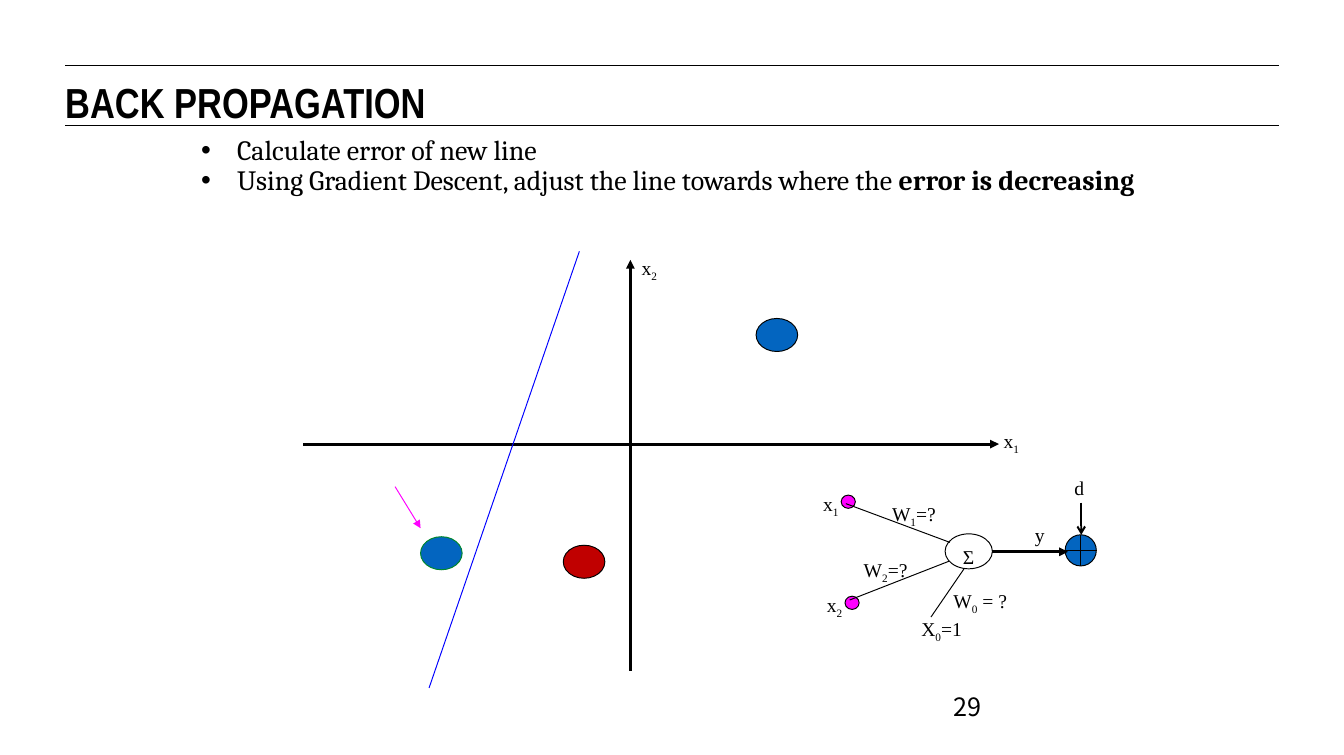
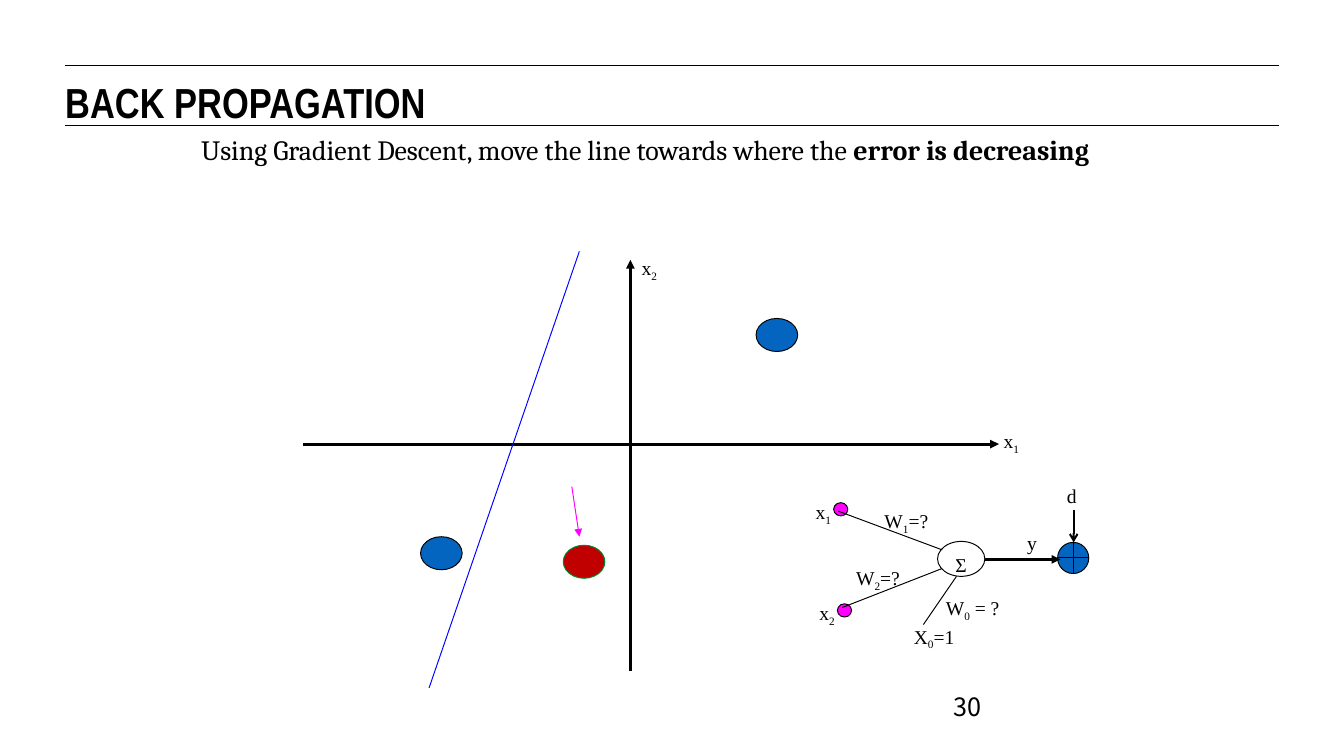
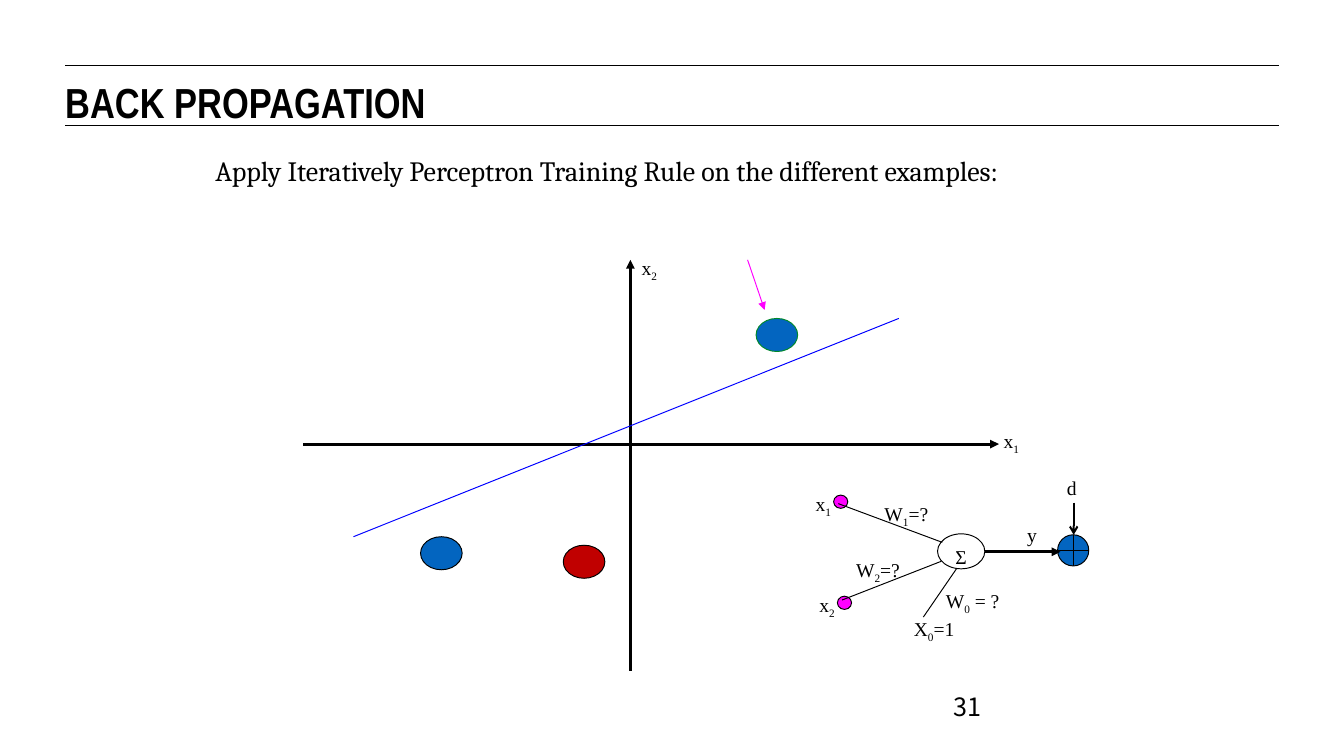
from lxml import etree
from pptx import Presentation
from pptx.dml.color import RGBColor
from pptx.enum.shapes import MSO_CONNECTOR, MSO_SHAPE
from pptx.enum.text import MSO_AUTO_SIZE, MSO_ANCHOR
from pptx.oxml.ns import qn
from pptx.util import Inches, Pt

BLACK = RGBColor(0x00, 0x00, 0x00)
BLUE = RGBColor(0x03, 0x65, 0xC0)
RED = RGBColor(0xC0, 0x00, 0x00)
GREEN = RGBColor(0x00, 0x88, 0x2B)
MAGENTA = RGBColor(0xFF, 0x00, 0xFF)
LINE_BLUE = RGBColor(0x00, 0x00, 0xFF)

TITLE = {"name": "Arial Narrow", "size": Pt(32), "bold": True}
BODY = {"name": "Cambria", "size": Pt(21.3)}
STRONG = {**BODY, "bold": True}
LABEL = {"name": "Times New Roman", "size": Pt(14.9)}
NUMBER = {"name": "Noto Sans CJK KR", "size": Pt(19.2)}

MARGIN, CONTENT_W = 0.69, 12.84
INSETS = (0.1, 0.05)
POINTS = {"lower": (4.45, 5.68, BLUE), "red": (5.96, 5.77, RED), "upper": (8, 3.37, BLUE)}
STEEP = ((6.13, 2.66), (4.54, 7.28))
FLAT = ((9.51, 3.37), (3.74, 5.68))


def add_line(shapes, start, end, color=BLACK, width=0.75, head=None):
    """Draw a straight line; head names the arrowhead at its end."""
    x1, y1, x2, y2 = (Inches(v) for v in (*start, *end))
    line = shapes.add_connector(MSO_CONNECTOR.STRAIGHT, x1, y1, x2, y2)
    line.line.color.rgb = color
    line.line.width = Pt(width)
    if head:
        etree.SubElement(line.line._get_or_add_ln(), qn("a:tailEnd"), type=head)
    etree.SubElement(line._element.spPr, qn("a:effectLst"))


def add_node(shapes, x, y, w, h, fill=None, outline=BLACK, kind=MSO_SHAPE.OVAL):
    sp = shapes.add_shape(kind, Inches(x), Inches(y), Inches(w), Inches(h))
    sp.shadow.inherit = False
    if fill is None:
        sp.fill.background()
    else:
        sp.fill.solid()
        sp.fill.fore_color.rgb = fill
    sp.line.color.rgb = outline
    sp.line.width = Pt(0.75)


def add_text_frame(shapes, x, y, w, h, wrap=True, insets=INSETS):
    box = shapes.add_textbox(Inches(x), Inches(y), Inches(w), Inches(h))
    tf = box.text_frame
    side, top = (Inches(v) for v in insets)
    settings = {"word_wrap": wrap, "auto_size": MSO_AUTO_SIZE.NONE,
                "vertical_anchor": MSO_ANCHOR.TOP, "margin_left": side,
                "margin_right": side, "margin_top": top, "margin_bottom": top}
    for name, value in settings.items():
        setattr(tf, name, value)
    return tf


def add_run(p, text, style):
    r = p.add_run()
    r.text = text
    for name, value in style.items():
        setattr(r.font, name, value)
    r.font.color.rgb = BLACK
    return r


def add_label(shapes, x, y, w, base, sub="", rest=""):
    """Write a symbol with an optional subscript and what follows it."""
    p = add_text_frame(shapes, x, y, w, 0.36, wrap=False).paragraphs[0]
    add_run(p, base, LABEL)
    if sub:
        add_run(p, sub, LABEL)._r.get_or_add_rPr().set("baseline", "-25000")
    if rest:
        add_run(p, rest, LABEL)


def add_frame(s, number):
    """Place the two rules, the title and the page number."""
    for y in (0.69, 1.33):
        add_line(s.shapes, (MARGIN, y), (MARGIN + CONTENT_W, y))
    tf = add_text_frame(s.shapes, MARGIN, 0.81, CONTENT_W, 0.47, insets=(0, 0))
    add_run(tf.paragraphs[0], "BACK PROPAGATION", TITLE)
    tf = add_text_frame(s.shapes, 9.99, 7.27, 2.22, 0.53)
    add_run(tf.paragraphs[0], str(number), NUMBER)


def add_body(s, box, paragraphs, bullets):
    """Write paragraphs given as pairs of plain and bold text."""
    tf = add_text_frame(s.shapes, *box)
    for i, (plain, strong) in enumerate(paragraphs):
        p = tf.add_paragraph() if i else tf.paragraphs[0]
        p.line_spacing = 0.9
        if bullets:
            pPr = p._p.get_or_add_pPr()
            indent = Inches(0.38)
            pPr.set("marL", str(indent))
            pPr.set("indent", str(-indent))
            etree.SubElement(pPr, qn("a:buFont"), typeface="Arial")
            etree.SubElement(pPr, qn("a:buChar"), char="•")
        add_run(p, plain, BODY)
        if strong:
            add_run(p, strong, STRONG)


def add_plot(s, boundary, active, pointer):
    """Draw axes, sample points, the boundary and a pointer to the active point."""
    shapes = s.shapes
    add_line(shapes, (6.67, 7.1), (6.67, 2.75), width=2.25, head="triangle")
    add_line(shapes, (3.21, 4.7), (10.57, 4.7), width=2.25, head="triangle")
    add_label(shapes, 10.52, 4.49, 0.39, "x", "1")
    add_label(shapes, 6.69, 2.66, 0.39, "x", "2")
    for name, (x, y, fill) in POINTS.items():
        add_node(shapes, x, y, 0.44, 0.35, fill, GREEN if name == active else BLACK)
    add_line(shapes, *boundary, LINE_BLUE)
    add_line(shapes, *pointer, MAGENTA, head="triangle")


def add_perceptron(s, left, top):
    """Draw the network as one group whose corner is at left, top."""
    shapes = s.shapes.add_group_shape().shapes

    def at(x, y):
        return left + x, top + y

    for x, y in ((0.29, 0.25), (0.33, 1.32)):
        add_node(shapes, *at(x, y), 0.15, 0.14, MAGENTA)
    add_node(shapes, *at(1.39, 0.66), 0.5, 0.37)
    add_node(shapes, *at(2.66, 0.67), 0.33, 0.33, BLUE, kind=MSO_SHAPE.FLOWCHART_OR)

    for start, end, width, head in (
        ((0.34, 0.34), (1.44, 0.75), 0.75, None),
        ((0.38, 1.36), (1.43, 0.95), 0.75, None),
        ((1.24, 1.54), (1.59, 1.03), 0.75, None),
        ((1.89, 0.85), (2.69, 0.85), 2.25, "triangle"),
        ((2.83, 0.33), (2.83, 0.67), 1.5, "arrow"),
    ):
        add_line(shapes, at(*start), at(*end), width=width, head=head)

    for x, y, w, *parts in (
        (0, 0.17, 0.39, "x", "1"),
        (0.04, 1.24, 0.39, "x", "2"),
        (1.04, 1.49, 0.66, "X", "0", "=1"),
        (1.38, 1.19, 0.8, "W", "0", " = ?"),
        (0.73, 0.27, 0.69, "W", "1", "=?"),
        (0.43, 0.87, 0.69, "W", "2", "=?"),
        (1.48, 0.73, 0.34, "Σ"),
        (2.24, 0.5, 0.32, "y"),
        (2.66, 0, 0.32, "d"),
    ):
        add_label(shapes, *at(x, y), w, *parts)


def add_step(prs, number, box, paragraphs, plot, network, bullets=False):
    s = prs.slides.add_slide(prs.slide_layouts[6])
    add_frame(s, number)
    add_body(s, box, paragraphs, bullets)
    add_plot(s, *plot)
    add_perceptron(s, *network)


def main():
    prs = Presentation()
    prs.slide_width, prs.slide_height = Inches(14.22), Inches(7.99)
    add_step(prs, 29, (2.03, 1.39, 11.5, 0.82),
             [("Calculate error of new line", ""),
              ("Using Gradient Descent, adjust the line towards where the ",
               "error is decreasing")],
             (STEEP, "lower", ((4.18, 5.15), (4.45, 5.59))), (8.61, 4.99), bullets=True)
    add_step(prs, 30, (2.03, 1.39, 10.75, 0.47),
             [("Using Gradient Descent, move the line towards where the ",
               "error is decreasing")],
             (STEEP, "red", ((6.05, 5.15), (6.13, 5.68))), (8.53, 5.07))
    add_step(prs, 31, (2.18, 1.62, 10.03, 0.47),
             [("Apply Iteratively Perceptron Training Rule on the different examples:", "")],
             (FLAT, "upper", ((7.91, 2.75), (8.09, 3.28))), (8.53, 4.99))
    prs.save("out.pptx")


if __name__ == "__main__":
    main()
